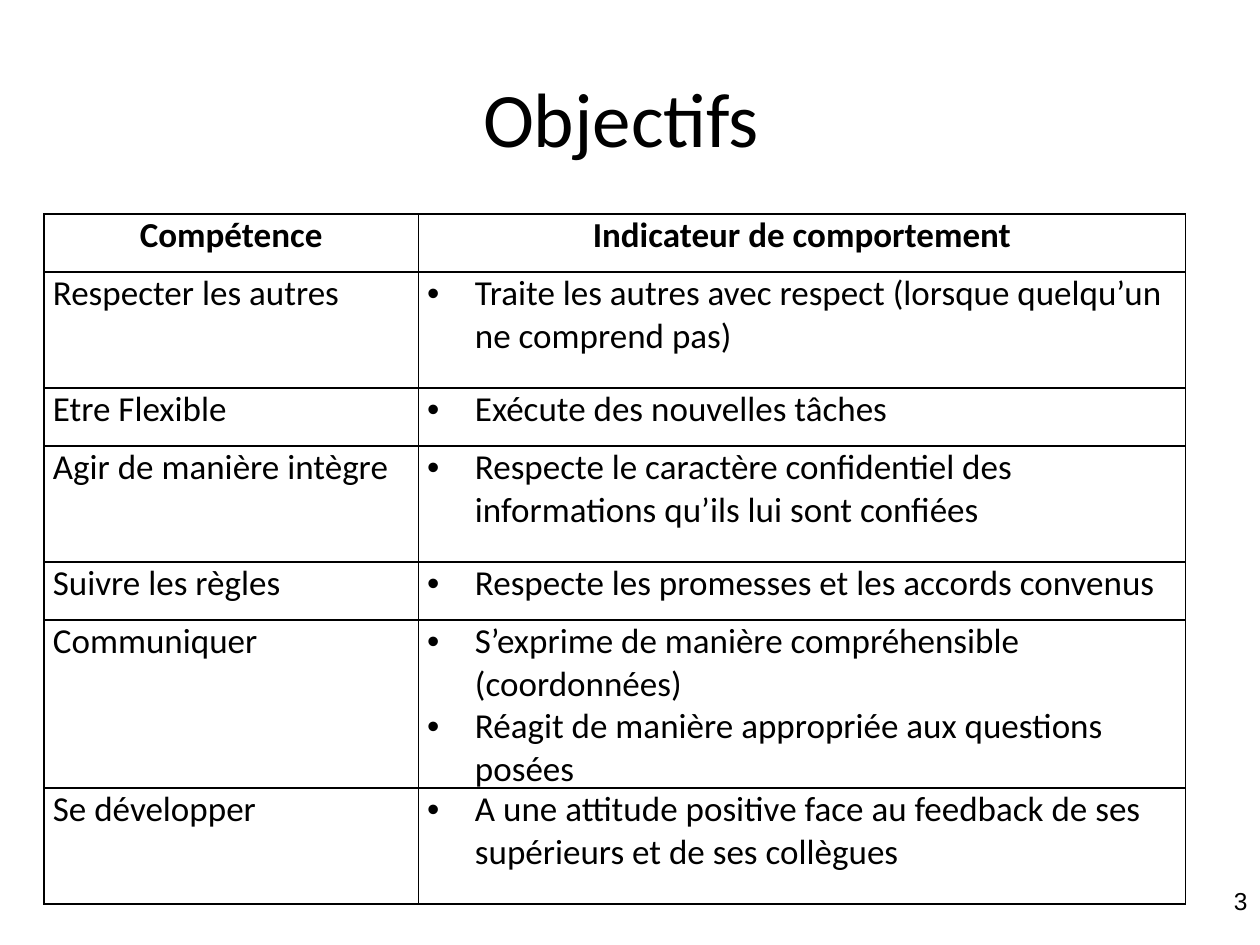
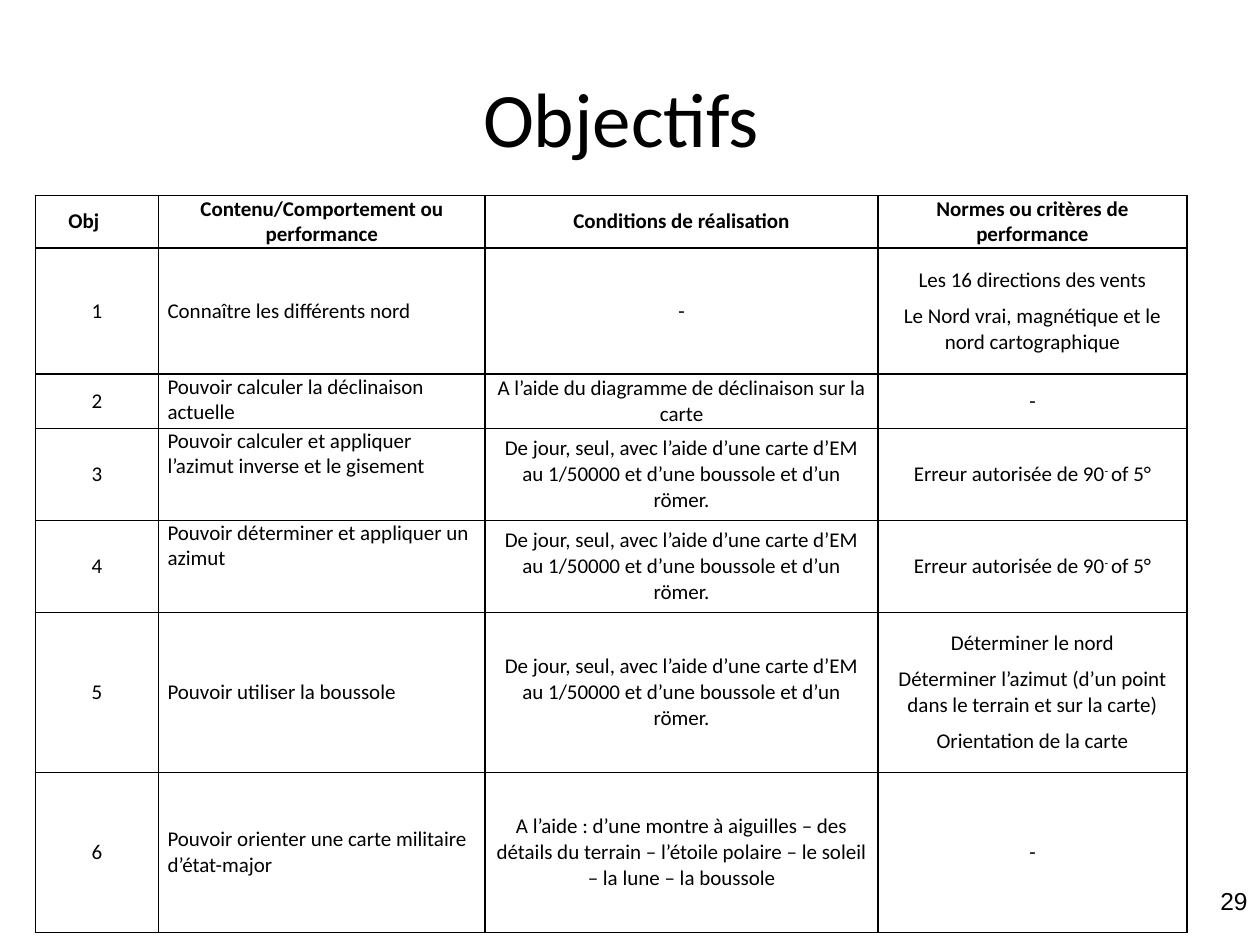
from lxml import etree
from pptx import Presentation
from pptx.dml.color import RGBColor
from pptx.enum.text import MSO_ANCHOR, PP_ALIGN
from pptx.oxml.ns import qn
from pptx.util import Inches, Pt

LEFT, CENTER, RIGHT = PP_ALIGN.LEFT, PP_ALIGN.CENTER, PP_ALIGN.RIGHT
TOP, MIDDLE = MSO_ANCHOR.TOP, MSO_ANCHOR.MIDDLE

COLORS = {"ink": "000000", "paper": "FFFFFF"}
TITLE = "Objectifs "
FONT = "Calibri"

# A cell is a string or a list of paragraphs; a paragraph may be a tuple
# of runs, where every second run is superscript.
SKILLS = [
    ("Compétence", "Indicateur de comportement"),
    ("Respecter les autres",
     "Traite les autres avec respect (lorsque quelqu’un ne comprend pas)"),
    ("Etre Flexible", "Exécute des nouvelles tâches"),
    ("Agir de manière intègre",
     "Respecte le caractère confidentiel des informations qu’ils lui sont confiées"),
    ("Suivre les règles", "Respecte les promesses et les accords convenus"),
    ("Communiquer",
     ["S’exprime de manière compréhensible (coordonnées)",
      "Réagit de manière appropriée aux questions posées"]),
    ("Se développer",
     "A une attitude positive face au feedback de ses supérieurs et de ses collègues"),
]

BY_DAY = ("De jour, seul, avec l’aide d’une carte d’EM au 1/50000 "
          "et d’une boussole et d’un römer.")
ERROR = [("Erreur autorisée de 90", "- ", "of 5°")]
GOALS = [
    ("Obj", "Contenu/Comportement ou performance", "Conditions de réalisation",
     "Normes ou critères de performance"),
    ("1", "Connaître les différents nord", "-",
     ["Les 16 directions des vents",
      "Le Nord vrai, magnétique et le nord cartographique"]),
    ("2", "Pouvoir calculer la déclinaison actuelle",
     "A l’aide du diagramme de déclinaison sur la carte", "-"),
    ("3", "Pouvoir calculer et appliquer l’azimut inverse et le gisement",
     BY_DAY, ERROR),
    ("4", "Pouvoir déterminer et appliquer un azimut", BY_DAY, ERROR),
    ("5", "Pouvoir utiliser la boussole", BY_DAY,
     ["Déterminer le nord",
      "Déterminer l’azimut (d’un point dans le terrain et sur la carte)",
      "Orientation de la carte"]),
    ("6", "Pouvoir orienter une carte militaire d’état-major",
     "A l’aide\u00a0: d’une montre à aiguilles – des détails du terrain – "
     "l’étoile polaire – le soleil – la lune – la boussole", "-"),
]

SLIDES = [
    {"page": "3", "data": SKILLS, "at": (0.35, 1.7), "size": 20, "gap": 0,
     "cols": [2.97, 6.09], "rows": [0.46, 0.92, 0.46, 0.92, 0.46, 1.32, 0.92],
     "aligns": [LEFT, LEFT], "anchor": TOP, "bullet_col": 1},
    {"page": "29", "data": GOALS, "at": (0.28, 1.55), "size": 12, "gap": 6,
     "cols": [0.98, 2.59, 3.12, 2.45],
     "rows": [0.42, 1, 0.43, 0.73, 0.73, 1.27, 1.27],
     "aligns": [CENTER, LEFT, CENTER, CENTER], "anchor": MIDDLE,
     "top_cells": [(2, 1), (3, 1), (4, 1)], "wide_pad": (0, 0)},
]


def style(para, size, font=FONT, bold=False):
    para.font.name = font
    para.font.size = Pt(size)
    para.font.bold = bold
    para.font.color.rgb = RGBColor.from_string(COLORS["ink"])


def add_bullet(para):
    props = para._p.get_or_add_pPr()
    props.set("marL", str(Inches(0.38)))
    props.set("indent", str(-Inches(0.38)))
    etree.SubElement(props, qn("a:buFont")).set("typeface", "Arial")
    etree.SubElement(props, qn("a:buChar")).set("char", "•")


def add_runs(para, parts):
    for i, part in enumerate(parts):
        run = para.add_run()
        run.text = part
        if i % 2:
            run._r.get_or_add_rPr().set("baseline", "30000")


def frame_cell(cell):
    """Give the cell thin borders on all sides and a plain fill."""
    props = cell._tc.get_or_add_tcPr()
    for side in ("lnL", "lnR", "lnT", "lnB"):
        line = etree.SubElement(props, qn(f"a:{side}"), w=str(Pt(1)))
        fill = etree.SubElement(line, qn("a:solidFill"))
        etree.SubElement(fill, qn("a:srgbClr")).set("val", COLORS["ink"])
    cell.fill.solid()
    cell.fill.fore_color.rgb = RGBColor.from_string(COLORS["paper"])


def fill_cell(cell, content, item, row, col):
    frame_cell(cell)
    wide = (row, col) == item.get("wide_pad")
    cell.margin_left = Inches(0.07)
    cell.margin_right = Inches(0.28 if wide else 0.07)
    cell.margin_top = cell.margin_bottom = 0
    on_top = (row, col) in item.get("top_cells", [])
    cell.vertical_anchor = TOP if on_top else item["anchor"]
    head = row == 0
    frame = cell.text_frame
    for i, parts in enumerate([content] if isinstance(content, str) else content):
        para = frame.add_paragraph() if i else frame.paragraphs[0]
        add_runs(para, [parts] if isinstance(parts, str) else parts)
        para.alignment = CENTER if head else item["aligns"][col]
        if i:
            para.space_before = Pt(item["gap"])
        if not head and col == item.get("bullet_col"):
            add_bullet(para)
        style(para, item["size"], bold=head)


def add_grid(slide, item):
    data, cols, rows = item["data"], item["cols"], item["rows"]
    box = [Inches(n) for n in (*item["at"], sum(cols), sum(rows))]
    table = slide.shapes.add_table(len(rows), len(cols), *box).table
    table.first_row = table.horz_banding = False
    for col, width in zip(table.columns, cols):
        col.width = Inches(width)
    for row, height in zip(table.rows, rows):
        row.height = Inches(height)
    for r, line in enumerate(data):
        for c, content in enumerate(line):
            fill_cell(table.cell(r, c), content, item, r, c)


def add_page(slide, number):
    box = slide.shapes.add_textbox(*[Inches(n) for n in (7.67, 6.98, 2.33, 0.52)])
    box.text_frame.word_wrap = True
    para = box.text_frame.paragraphs[0]
    para.text = number
    para.alignment = RIGHT
    style(para, 14, "Arial")


def add_title(slide):
    title = slide.shapes.title
    title.left, title.top, title.width, title.height = [
        Inches(n) for n in (0.5, 0.3, 9, 1.25)]
    title.text_frame.vertical_anchor = MIDDLE
    para = title.text_frame.paragraphs[0]
    para.text = TITLE
    para.alignment = CENTER
    style(para, 44)


def main():
    deck = Presentation()
    deck.slide_width, deck.slide_height = Inches(10), Inches(7.5)
    for item in SLIDES:
        slide = deck.slides.add_slide(deck.slide_layouts.get_by_name("Title Only"))
        add_page(slide, item["page"])
        add_title(slide)
        add_grid(slide, item)
    deck.save("out.pptx")


if __name__ == "__main__":
    main()
